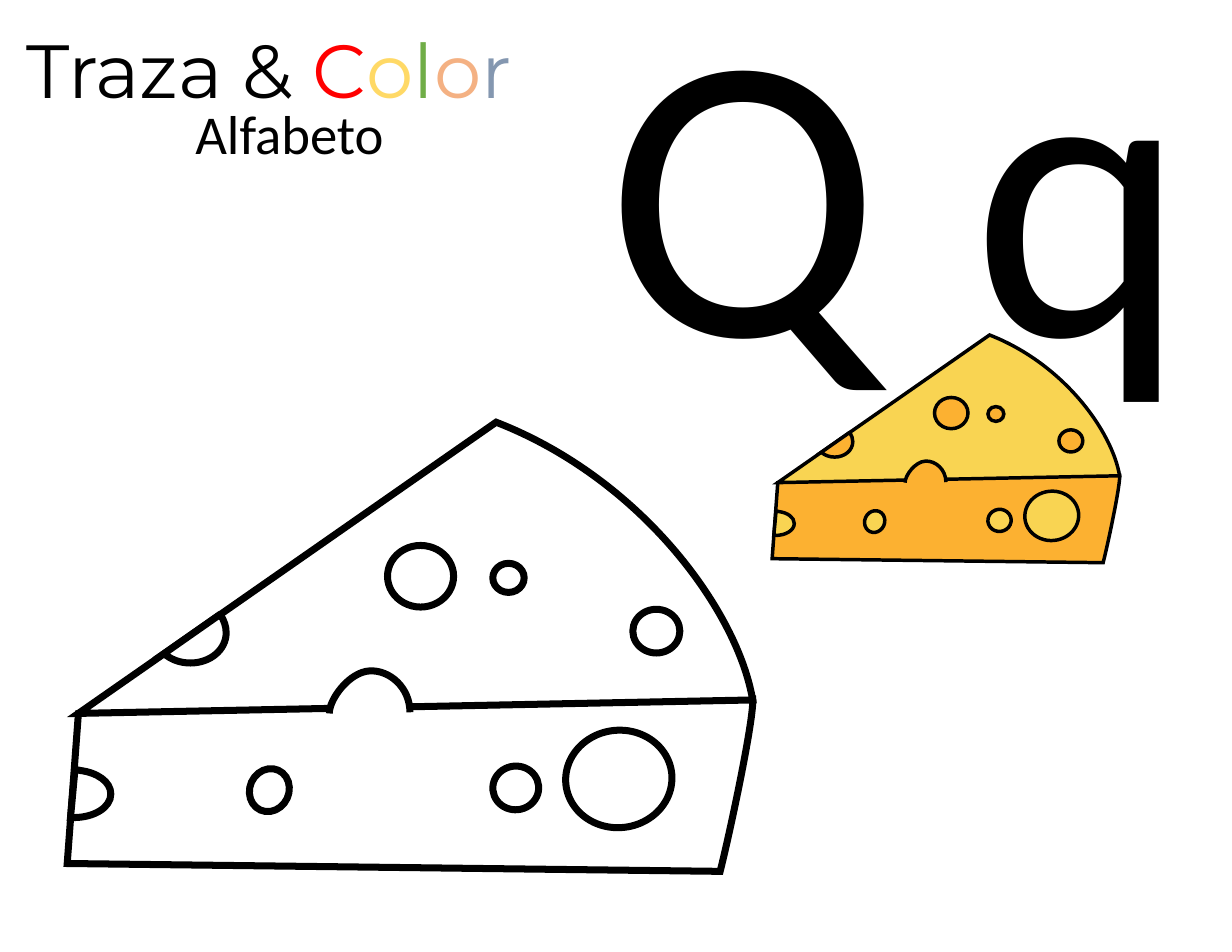
from lxml import etree
from pptx import Presentation
from pptx.dml.color import RGBColor
from pptx.enum.shapes import MSO_SHAPE
from pptx.enum.text import MSO_ANCHOR, MSO_AUTO_SIZE, PP_ALIGN
from pptx.oxml.ns import qn
from pptx.util import Inches, Pt

OVAL = MSO_SHAPE.OVAL
TOP = MSO_ANCHOR.TOP
GROW = MSO_AUTO_SIZE.SHAPE_TO_FIT_TEXT
LEFT, CENTER = PP_ALIGN.LEFT, PP_ALIGN.CENTER

THEME = {
    "ink": "000000", "paper": "FFFFFF", "rind": "FCB131", "cheese": "F9D452",
    "word": ["FF0000", "FFD966", "70AD47", "F4B183", "8497B0"],
    "title_font": "Montserrat", "body_font": "Calibri",
    "title_size": 48.4, "subtitle_size": 35.2, "letter_size": 262.9,
}

presentation = Presentation()
presentation.slide_width, presentation.slide_height = Inches(11), Inches(8.5)
COLUMN = presentation.slide_width / 11
ROW = presentation.slide_height / 8.5
slide = presentation.slides.add_slide(presentation.slide_layouts[0])


def write(shape, runs, *, at, size, font, align=LEFT):
    """Place the shape (columns, rows) and fill it with (text, colour) runs."""
    left, top, width, height = at
    shape.left, shape.width = round(left * COLUMN), round(width * COLUMN)
    shape.top, shape.height = round(top * ROW), round(height * ROW)
    frame = shape.text_frame
    frame.word_wrap = True
    frame.auto_size = GROW
    frame.vertical_anchor = TOP
    paragraph = frame.paragraphs[0]
    paragraph.alignment = align
    paragraph.space_before = Pt(0)
    for text, color in runs:
        run = paragraph.add_run()
        run.text = text
        run.font.size = Pt(size)
        run.font.name = font
        run.font.color.rgb = RGBColor.from_string(color)


def add_outline(shapes, start, segments, closed):
    """Draw lines through the end points, then bend each three-point segment into a curve."""
    builder = shapes.build_freeform(*start)
    builder.add_line_segments([segment[-1] for segment in segments], close=closed)
    shape = builder.convert_to_shape()
    lines = list(shape._element.iter(qn("a:lnTo")))
    for segment, line in zip(segments, lines):
        if len(segment) == 3:
            curve = etree.Element(qn("a:cubicBezTo"))
            for x, y in segment:
                etree.SubElement(curve, qn("a:pt"), x=str(x - shape.left), y=str(y - shape.top))
            line.getparent().replace(line, curve)
    return shape


# Headings and letters
ink = THEME["ink"]
write(slide.shapes.title, [("Traza & ", ink), *zip("Color", THEME["word"])],
      at=(0.14, 0.16, 5.36, 0.92), size=THEME["title_size"], font=THEME["title_font"])
write(slide.placeholders[1], [("Alfabeto", ink)], at=(0.42, 0.84, 4.33, 0.69),
      size=THEME["subtitle_size"], font=THEME["body_font"], align=CENTER)
write(slide.shapes.add_textbox(0, 0, 0, 0), [("Q q", ink)], at=(5.31, -0.7, 6.57, 4.53),
      size=THEME["letter_size"], font=THEME["body_font"])

# Cheese parts in columns and rows, back to front.
# Outline: tone, closed, start, then segments of one point (line) or three (curve).
# Hole: tone, left, top, width, height, rotation.
CHEESE = [
    ("outline", "rind", True, (0.7, 6.37), [
        [(1.75, 6.1), (6.74, 6.15), (6.72, 6.23)],
        [(6.74, 6.38), (6.53, 7.38), (6.43, 7.78)], [(0.6, 7.71)]]),
    ("outline", "cheese", True, (4.43, 3.77), [
        [(5.74, 4.28), (6.59, 5.47), (6.72, 6.25)], [(0.7, 6.37)]]),
    ("hole", "rind", 3.46, 4.87, 0.59, 0.55, 0),
    ("hole", "rind", 4.4, 5.03, 0.28, 0.26, 0),
    ("hole", "rind", 5.65, 5.44, 0.42, 0.39, 0),
    ("outline", "rind", True, (1.96, 5.49), [
        [(1.97, 5.49)], [(2, 5.54), (2.02, 5.59), (2.02, 5.65)],
        [(2.02, 5.8), (1.88, 5.92), (1.7, 5.92)],
        [(1.61, 5.92), (1.53, 5.89), (1.47, 5.84)], [(1.46, 5.84)]]),
    ("outline", "rind", False, (2.94, 6.37), [
        [(2.94, 6.24), (3.12, 6), (3.3, 5.99)],
        [(3.48, 5.98), (3.66, 6.14), (3.66, 6.36)]]),
    ("hole", "cheese", 2.23, 6.86, 0.35, 0.39, 24.3),
    ("hole", "cheese", 4.4, 6.84, 0.41, 0.39, 354.2),
    ("hole", "cheese", 5.05, 6.52, 0.95, 0.87, 354.2),
    ("outline", "cheese", True, (0.67, 6.87), [
        [(0.72, 6.88)], [(0.87, 6.9), (0.99, 6.98), (0.99, 7.09)],
        [(0.99, 7.21), (0.84, 7.3), (0.66, 7.3)], [(0.63, 7.3)]]),
]

# Each drawing: scale, column and row offset, line width, colour of each tone
paper = THEME["paper"]
DRAWINGS = [
    (0.507, 6.59, 1.08, 2.25, {"rind": THEME["rind"], "cheese": THEME["cheese"]}),
    (1, 0, 0, 4.5, {"rind": paper, "cheese": paper}),
]

for scale, column, row, line_width, tones in DRAWINGS:
    group = slide.shapes.add_group_shape()
    for kind, tone, *geometry in CHEESE:
        if kind == "hole":
            left, top, width, height, rotation = geometry
            shape = group.shapes.add_shape(
                OVAL, round((column + left * scale) * COLUMN), round((row + top * scale) * ROW),
                round(width * scale * COLUMN), round(height * scale * ROW))
            shape.rotation = rotation
        else:
            closed, start, segments = geometry
            first, *placed = [
                [(round((column + x * scale) * COLUMN), round((row + y * scale) * ROW))
                 for x, y in segment] for segment in [[start], *segments]]
            shape = add_outline(group.shapes, first[0], placed, closed)
        shape.shadow.inherit = False
        shape.fill.solid()
        shape.fill.fore_color.rgb = RGBColor.from_string(tones[tone])
        shape.line.color.rgb = RGBColor.from_string(ink)
        shape.line.width = Pt(line_width)
        etree.SubElement(shape.line._get_or_add_ln(), qn("a:miter"), lim="800000")

presentation.save("out.pptx")
